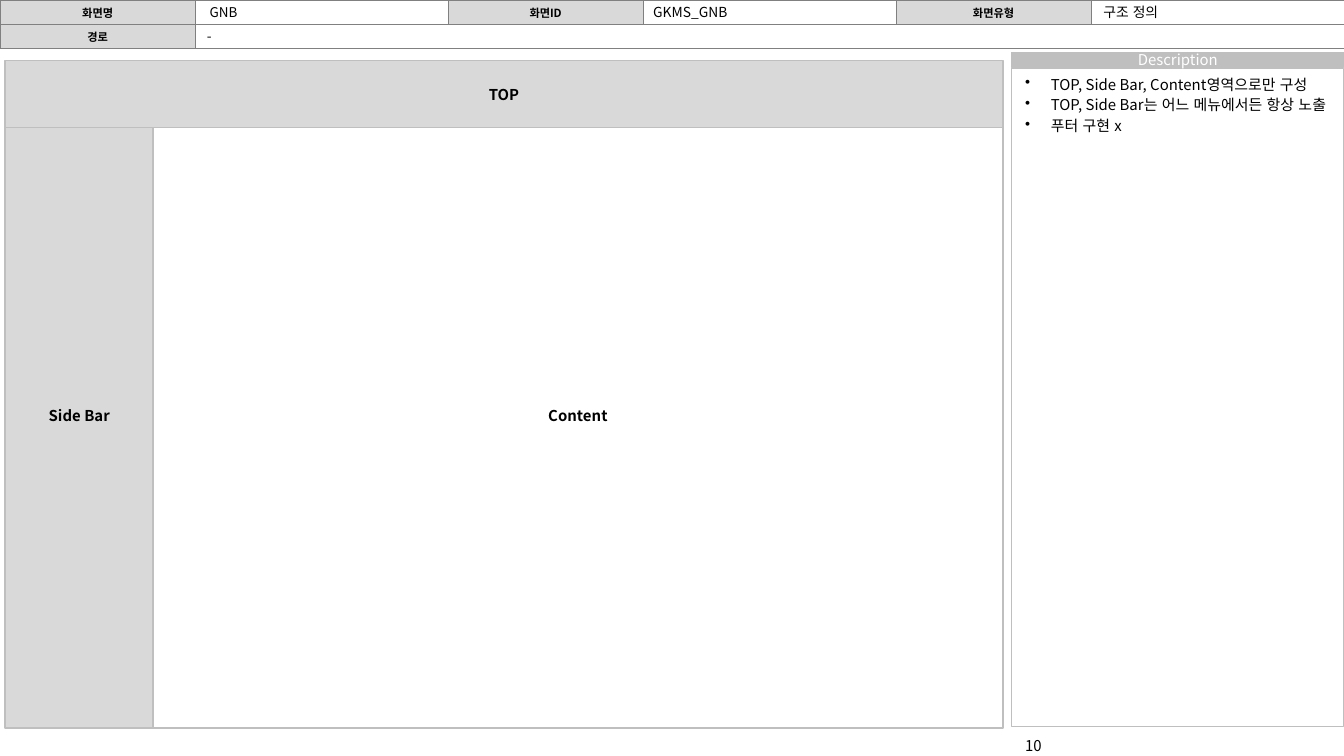
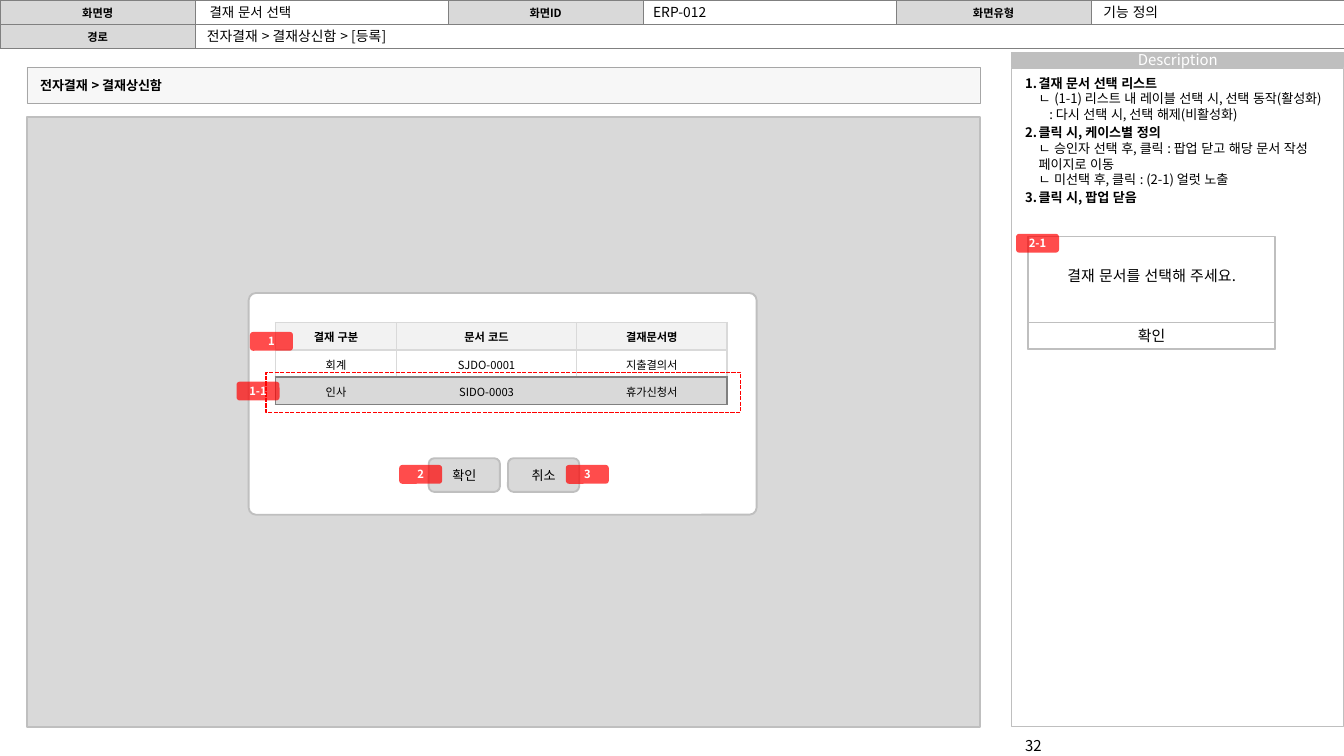
from lxml import etree
from pptx import Presentation
from pptx.dml.color import RGBColor
from pptx.enum.dml import MSO_LINE
from pptx.enum.lang import MSO_LANGUAGE_ID
from pptx.enum.shapes import MSO_SHAPE
from pptx.enum.text import MSO_ANCHOR, MSO_AUTO_SIZE, PP_ALIGN
from pptx.oxml.ns import qn
from pptx.util import Inches, Pt

RECT, ROUND = MSO_SHAPE.RECTANGLE, MSO_SHAPE.ROUNDED_RECTANGLE
LEFT, CENTER = PP_ALIGN.LEFT, PP_ALIGN.CENTER
TOP, MIDDLE = MSO_ANCHOR.TOP, MSO_ANCHOR.MIDDLE
NO_FIT = MSO_AUTO_SIZE.NONE
SYS_DASH = MSO_LINE.SQUARE_DOT
KOREAN = MSO_LANGUAGE_ID.KOREAN

FONT = "Noto Sans CJK KR"
BLACK, WHITE, RED = "000000", "FFFFFF", "FF0000"
LIGHT, PANEL, EDGE, DARK = "F2F2F2", "D9D9D9", "BFBFBF", "808080"
rgb = RGBColor.from_string


def write(p, text, size=8, bold=False, color=BLACK, align=LEFT):
    p.alignment = align
    p._p.get_or_add_endParaRPr().set("sz", str(int(size * 100)))
    if text:
        r = p.add_run()
        r.text = text
        r.font.size = Pt(size)
        r.font.bold = bold
        r.font.color.rgb = rgb(color)
        r.font.name = FONT
        r.font.language_id = KOREAN
        etree.SubElement(r.font._element, qn("a:ea"), typeface=FONT)


def box(shapes, kind, at, fill=None, line=EDGE, width=1, alpha=None, text="",
        size=8, bold=False, color=BLACK, align=CENTER):
    sp = shapes.add_shape(kind, *[Inches(v) for v in at])
    sp.shadow.inherit = False
    if fill:
        sp.fill.solid()
        sp.fill.fore_color.rgb = rgb(fill)
        if alpha:
            clr = sp._element.spPr.find(qn("a:solidFill"))[0]
            etree.SubElement(clr, qn("a:alpha"), val=str(alpha * 1000))
    else:
        sp.fill.background()
    if line:
        sp.line.color.rgb = rgb(line)
        sp.line.width = Pt(width)
    else:
        sp.line.fill.background()
    if text:
        tf = sp.text_frame
        tf.word_wrap = False
        tf.vertical_anchor = MIDDLE
        write(tf.paragraphs[0], text, size, bold, color, align)
    return sp


prs = Presentation()
prs.slide_width = Inches(10)
prs.slide_height = prs.slide_width * 9 // 16
layout = prs.slide_layouts[5]
for ph in list(layout.placeholders):
    if ph.placeholder_format.idx:
        ph._element.getparent().remove(ph._element)

layout_slide = prs.slides.add_slide(layout)
popup_slide = prs.slides.add_slide(layout)

HEADER = [["화면명", "", "화면ID", "", "화면유형", ""],
          ["경로", "", "", "", "", ""]]
shapes = layout_slide.shapes
panel = box(shapes, RECT, (7.53, 0.51, 2.47, 4.9), width=0.5)
caption = box(shapes, RECT, (7.53, 0.39, 2.47, 0.11), EDGE, width=0.5,
              text="Description", color=WHITE)
caption.text_frame.margin_top = caption.text_frame.margin_bottom = 0
header = shapes.add_table(2, 6, 0, 0, Inches(10), Inches(0.36))
table = header.table
for i, col in enumerate(table.columns):
    col.width = Inches(1.88) if i % 2 else Inches(10 / 3) - Inches(1.88)
for i, row in enumerate(HEADER):
    for j, text in enumerate(row):
        cell = table.cell(i, j)
        cell.margin_left = cell.margin_right = Inches(0.04)
        cell.margin_top = cell.margin_bottom = Inches(0.03)
        cell.vertical_anchor = MIDDLE
        cell.fill.solid()
        cell.fill.fore_color.rgb = rgb(PANEL if text else WHITE)
        write(cell.text_frame.paragraphs[0], text, 6, True, align=CENTER)
table.cell(1, 1).merge(table.cell(1, 5))
grids = [(table, DARK, 0.25, None)]
for i, sp in enumerate((panel, caption, header)):
    sp._element.xpath(".//p:cNvPr")[0].set("id", str(20 + i))
    layout.shapes._spTree.append(sp._element)

PAGES = [
    (layout_slide, "GNB", "GKMS_GNB", "구조 정의", "-", "10", 8, [
        ("•", "TOP, Side Bar, Content영역으로만 구성"),
        ("•", "TOP, Side Bar는 어느 메뉴에서든 항상 노출"),
        ("•", "푸터 구현 x")]),
    (popup_slide, "결재 문서 선택", "ERP-012", "기능 정의",
     "전자결재 > 결재상신함 > [등록]", "32", 7, [
         (1, "결재 문서 선택 리스트", "ㄴ (1-1) 리스트 내 레이블 선택 시, 선택 동작(활성화)"),
         (None, ": 다시 선택 시, 선택 해제(비활성화)"),
         (2, "클릭 시, 케이스별 정의",
          "ㄴ 승인자 선택 후, 클릭 : 팝업 닫고 해당 문서 작성 페이지로 이동",
          "ㄴ 미선택 후, 클릭 : (2-1) 얼럿 노출"),
         (3, "클릭 시, 팝업 닫음")]),
]

for s, name, screen_id, kind, route, number, size, notes in PAGES:
    tf = s.shapes.add_textbox(Inches(7.53), Inches(5.43), Inches(1.5), Inches(0.24)).text_frame
    tf.word_wrap = True
    write(tf.paragraphs[0], number)

    title = s.shapes.title
    title.left, title.top, title.width, title.height = [
        Inches(v) for v in (1.46, 0, 1.89, 0.18)]
    title.text_frame.auto_size = NO_FIT
    title.text_frame.vertical_anchor = MIDDLE
    write(title.text_frame.paragraphs[0], name, 7.2)

    for at, text in [((4.78, 0, 1.87, 0.18), screen_id),
                     ((8.13, 0, 1.85, 0.18), kind),
                     ((1.46, 0.18, 8.54, 0.18), route)]:
        tf = s.shapes.add_textbox(*[Inches(v) for v in at]).text_frame
        tf.word_wrap = True
        tf.vertical_anchor = MIDDLE
        tf.margin_left = tf.margin_right = Inches(0.08)
        tf.margin_top = tf.margin_bottom = Inches(0.04)
        write(tf.paragraphs[0], text, 7.4)

    tf = s.shapes.add_textbox(Inches(7.53), Inches(0.51), Inches(2.48), Inches(4.9)).text_frame
    tf.word_wrap = True
    tf.vertical_anchor = TOP
    for i, (mark, head, *details) in enumerate(notes):
        p = tf.paragraphs[0] if i == 0 else tf.add_paragraph()
        numbered = isinstance(mark, int)
        write(p, head, size, numbered)
        for text in details:
            p.add_line_break()
            write(p, text, size)
        for br in p._p.findall(qn("a:br")):
            etree.SubElement(br, qn("a:rPr"), sz=str(size * 100))
        pPr = p._p.get_or_add_pPr()
        if mark is None:
            pPr.set("marL", str(Inches(0.18)))
            pPr.set("indent", "0")
            continue
        p.space_before = Pt(size * 0.2 if i else 0)
        indent = Inches(0.1 if numbered else 0.19)
        pPr.set("marL", str(indent))
        pPr.set("indent", str(-indent))
        if numbered:
            etree.SubElement(pPr, qn("a:buAutoNum"), type="arabicPeriod", startAt=str(mark))
        else:
            etree.SubElement(pPr, qn("a:buChar"), char=mark)

for text, at, fill in [("Content", (1.14, 0.77, 6.32, 4.65), WHITE),
                       ("Side Bar", (0.04, 0.77, 1.1, 4.65), PANEL),
                       ("TOP", (0.04, 0.45, 7.42, 0.5), PANEL)]:
    box(layout_slide.shapes, RECT, at, fill, text=text, bold=True)

shapes = popup_slide.shapes
box(shapes, RECT, (0.2, 0.5, 7.09, 0.27), LIGHT, "A6A6A6", 0.25, alpha=60,
    text="전자결재 > 결재상신함", size=7, bold=True, align=LEFT)
box(shapes, RECT, (0.2, 0.87, 7.09, 4.54), PANEL)
popup = box(shapes, ROUND, (1.85, 2.18, 3.78, 1.65), WHITE)
popup.adjustments[0] = 0.033

DOCUMENTS = [("결재 구분", "문서 코드", "결재문서명"),
             ("회계", "SJDO-0001", "지출결의서"),
             ("인사", "SIDO-0003", "휴가신청서")]
table = shapes.add_table(3, 3, Inches(2.05), Inches(2.4), Inches(3.36), Inches(0.61)).table
for col, width in zip(table.columns, (0.9, 1.34, 1.12)):
    col.width = Inches(width)
for i, (row, fill) in enumerate(zip(DOCUMENTS, (LIGHT, None, PANEL))):
    for j, text in enumerate(row):
        cell = table.cell(i, j)
        cell.margin_left = cell.margin_right = cell.margin_top = Inches(0.01)
        cell.margin_bottom = 0
        cell.vertical_anchor = MIDDLE
        if fill:
            cell.fill.solid()
            cell.fill.fore_color.rgb = rgb(fill)
        else:
            cell.fill.background()
        write(cell.text_frame.paragraphs[0], text, 6, i == 0, align=CENTER)
grids.append((table, PANEL, 1, 2))

buttons = shapes.add_group_shape().shapes
for i, text in enumerate(("확인", "취소")):
    box(buttons, ROUND, (3.19 + 0.59 * i, 3.41, 0.53, 0.25), PANEL, text=text, size=7)

for text, x, y in [("2", 2.97, 3.46), ("3", 4.21, 3.46), ("1", 1.86, 2.47),
                   ("", 1.98, 2.77), ("1-1", 1.76, 2.84), ("2-1", 7.56, 1.74)]:
    if not text:
        box(shapes, RECT, (x, y, 3.53, 0.3), None, RED, 0.75).line.dash_style = SYS_DASH
        continue
    if text == "2-1":
        alert = shapes.add_group_shape().shapes
        message = box(alert, RECT, (7.65, 1.76, 1.84, 0.84), WHITE,
                      text="결재 문서를 선택해 주세요.")
        message.text_frame.margin_bottom = Inches(0.31)
        box(alert, RECT, (7.65, 2.4, 1.84, 0.2), WHITE, text="확인")
    box(shapes, ROUND, (x, y, 0.32, 0.14), RED, None, alpha=70, text=text,
        size=6, bold=True, color=WHITE)

for table, color, width, active in grids:
    table.first_row = table.horz_banding = False
    last = len(table.columns) - 1
    for i, row in enumerate(table.rows):
        row.height = Inches(0.18 if active is None else 0.61 / 3)
        for j, cell in enumerate(row.cells):
            strong = ""
            if active == i:
                strong = "TB" + ("L" if j == 0 else "") + ("R" if j == last else "")
            elif active == i + 1:
                strong = "B"
            tcPr = cell._tc.get_or_add_tcPr()
            for k, side in enumerate("LRTB"):
                ln = etree.Element(qn("a:ln" + side), w=str(Pt(width)))
                solid = etree.SubElement(ln, qn("a:solidFill"))
                etree.SubElement(solid, qn("a:srgbClr"), val=DARK if side in strong else color)
                tcPr.insert(k, ln)

prs.save("out.pptx")
